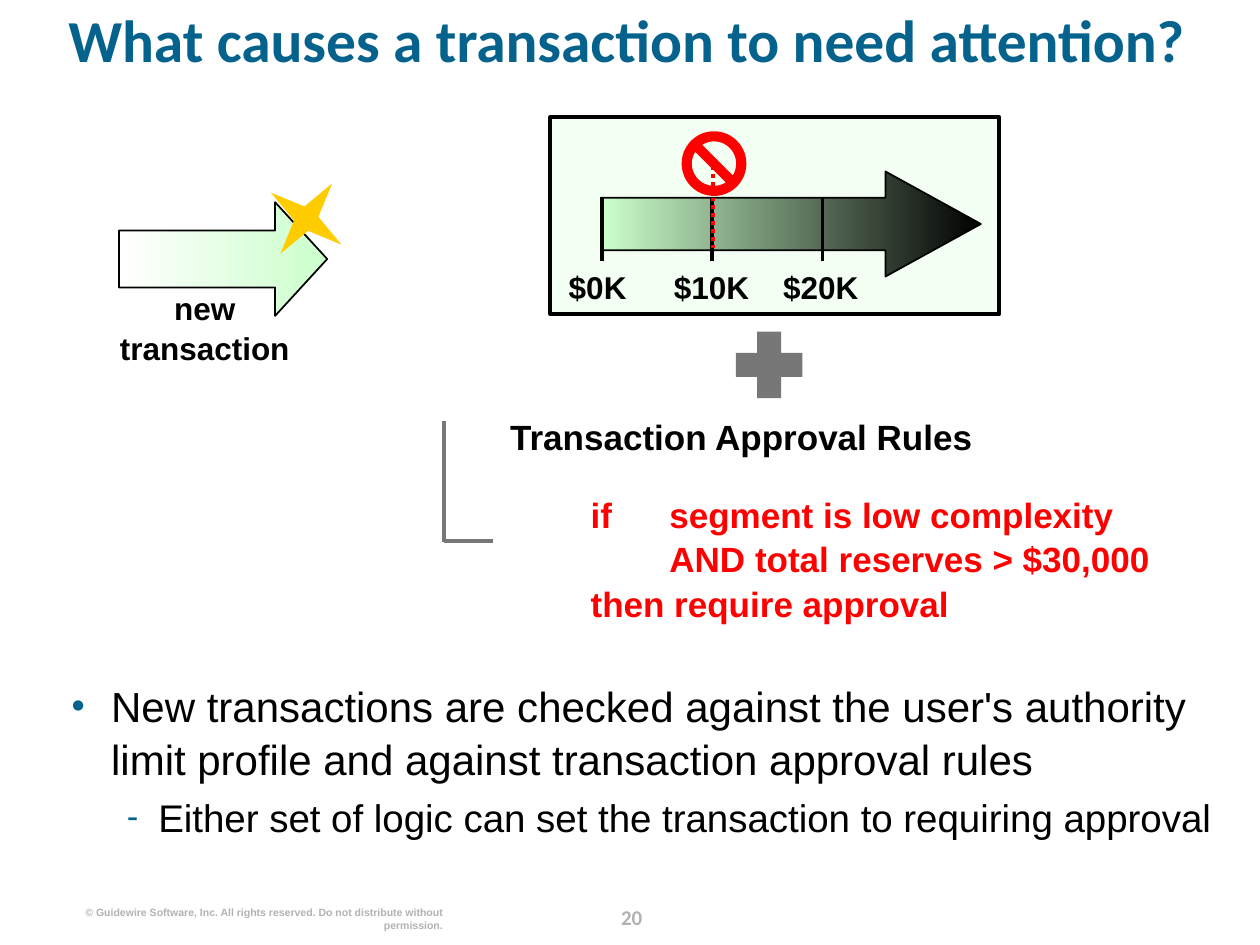
from lxml.etree import SubElement
from pptx import Presentation
from pptx.dml.color import RGBColor
from pptx.enum.dml import MSO_LINE
from pptx.enum.shapes import MSO_CONNECTOR, MSO_SHAPE
from pptx.enum.text import MSO_ANCHOR, PP_ALIGN
from pptx.oxml.ns import qn
from pptx.util import Pt

COLORS = {
    "title": "04628C", "text": "000000", "footer": "B2B2B2", "alert": "FF0000",
    "gray": "777777", "star": "FFCC00", "green": "CCFFCC", "white": "FFFFFF",
}

# Content
TITLE = "What causes a transaction to need attention?"
BULLETS = [  # text, size, left margin, hanging indent, bullet, space before
    ("New transactions are checked against the user's authority limit profile "
     "and against transaction approval rules", 24, 22.5, 22.5, "•", 0),
    ("Either set of logic can set the transaction to requiring approval",
     22, 49.5, 18, "-", 4.4),
]
RULE = "if \tsegment is low complexity\v\tAND total reserves > $30,000\vthen require approval"
RULE_TAB = 45
LIMITS = [("$0K", 341.5), ("$10K", 406.5), ("$20K", 469)]  # label, label centre
FIRST_TICK, TICK_GAP = 344, 63
COPYRIGHT = ("© Guidewire Software, Inc. All rights reserved. "
             "Do not distribute without permission.")
PAGE = "20"

presentation = Presentation()
presentation.slide_width, presentation.slide_height = Pt(720), Pt(540)
slide = presentation.slides.add_slide(presentation.slide_layouts[6])


def rgb(name):
    return RGBColor.from_string(COLORS[name])


def set_font(paragraph, size, color, bold=True, face="Arial"):
    font = paragraph.font
    font.name, font.size, font.bold = face, Pt(size), bold
    font.color.rgb = rgb(color)


def add_frame(left, top, width, height):
    frame = slide.shapes.add_textbox(Pt(left), Pt(top), Pt(width), Pt(height)).text_frame
    frame.word_wrap = True
    frame.vertical_anchor = MSO_ANCHOR.TOP
    frame.margin_left = frame.margin_right = frame.margin_top = frame.margin_bottom = 0
    return frame


def add_label(text, box, size, color="text", align=PP_ALIGN.LEFT,
              face="Arial", spacing=1.05, tab=None):
    paragraph = add_frame(*box).paragraphs[0]
    paragraph.text = text
    paragraph.alignment = align
    paragraph.line_spacing = spacing
    if tab:
        tabs = SubElement(paragraph._p.get_or_add_pPr(), qn("a:tabLst"))
        SubElement(tabs, qn("a:tab"), pos=str(Pt(tab)), algn="l")
    set_font(paragraph, size, color, face=face)


def add_bullet(paragraph, text, size, margin, hanging, mark, before):
    paragraph.text = text
    paragraph.line_spacing = 1.05
    paragraph.space_before = Pt(before)
    props = paragraph._p.get_or_add_pPr()
    props.set("marL", str(Pt(margin)))
    props.set("indent", str(-Pt(hanging)))
    bullet_color = SubElement(props, qn("a:buClr"))
    SubElement(bullet_color, qn("a:srgbClr"), val=COLORS["title"])
    SubElement(props, qn("a:buSzPct"), val="90000")
    SubElement(props, qn("a:buFont"), typeface="Arial")
    SubElement(props, qn("a:buChar"), char=mark)
    set_font(paragraph, size, "text", bold=False)


def add_figure(kind, box, fill, outline=None, adjust=(), rotation=0, alpha=None):
    figure = slide.shapes.add_shape(kind, *map(Pt, box))
    figure.shadow.inherit = False
    figure.rotation = rotation
    for index, value in enumerate(adjust):
        figure.adjustments[index] = value
    if isinstance(fill, tuple):
        figure.fill.gradient()
        figure.fill.gradient_angle = 0
        for stop, color, position in zip(figure.fill.gradient_stops, fill, (0, 1)):
            stop.color.rgb, stop.position = rgb(color), position
    else:
        figure.fill.solid()
        figure.fill.fore_color.rgb = rgb(fill)
    if alpha:
        fill_color = figure._element.spPr.find(qn("a:solidFill"))[0]
        SubElement(fill_color, qn("a:alpha"), val=str(alpha * 1000))
    if outline:
        figure.line.color.rgb, figure.line.width = rgb("text"), Pt(outline)
    else:
        figure.line.fill.background()


def add_line(start, end, color, dash=None):
    line = slide.shapes.add_connector(MSO_CONNECTOR.STRAIGHT, *map(Pt, (*start, *end)))
    line.line.color.rgb, line.line.width = rgb(color), Pt(2.25)
    if dash:
        line.line.dash_style = dash
    SubElement(line._element.spPr, qn("a:effectLst"))


# Footer and title
add_label(PAGE, (340.5, 513.5, 41, 18), 12, "footer", PP_ALIGN.CENTER, "Calibri", Pt(18))
add_label(COPYRIGHT, (44, 517.5, 209, 15), 6, "footer", PP_ALIGN.RIGHT)
add_label(TITLE, (39, 9.5, 655, 58), 34, "title", face="Calibri", spacing=0.8)

# Bullets
body = add_frame(41, 387.5, 655, 116)
for index, bullet in enumerate(BULLETS):
    add_bullet(body.add_paragraph() if index else body.paragraphs[0], *bullet)

# Approval rules with their bracket
add_line((282, 309), (253.5, 309), "gray")
add_line((253.5, 309.5), (253.5, 240.5), "gray")
add_label("Transaction Approval Rules", (291.5, 236, 353.5, 24), 20)
add_label(RULE, (337.5, 281, 358.5, 72), 20, "alert", tab=RULE_TAB)

# New transaction
add_label("new transaction", (63.5, 164, 107, 43), 18, align=PP_ALIGN.CENTER)
add_figure(MSO_SHAPE.RIGHT_ARROW, (68, 115.5, 119, 65), ("white", "green"), 1, (0.5, 0.458))
add_figure(MSO_SHAPE.STAR_4_POINT, (150, 100, 50, 50), "star", adjust=(0.141,), rotation=36.4)

# Authority limit scale
add_figure(MSO_SHAPE.RECTANGLE, (314.5, 67, 256.5, 112.5), "green", 2.25, alpha=25)
add_figure(MSO_SHAPE.RIGHT_ARROW, (343.5, 98, 217, 60), ("green", "text"), 1, (0.5, 0.908))
for index, (limit, centre) in enumerate(LIMITS):
    tick = FIRST_TICK + index * TICK_GAP
    add_label(limit, (centre - 35, 152, 70, 22), 18, align=PP_ALIGN.CENTER)
    add_line((tick, 149), (tick, 112.5), "text")

# Stop sign at the limit
add_line((407.5, 142), (407.5, 93), "alert", MSO_LINE.ROUND_DOT)
add_figure(MSO_SHAPE.NO_SYMBOL, (389.5, 75, 37, 37), "alert", adjust=(0.157,))

# Plus sign
add_figure(MSO_SHAPE.CROSS, (420.5, 189.5, 38, 38), "gray", adjust=(0.32,))

presentation.save("out.pptx")
